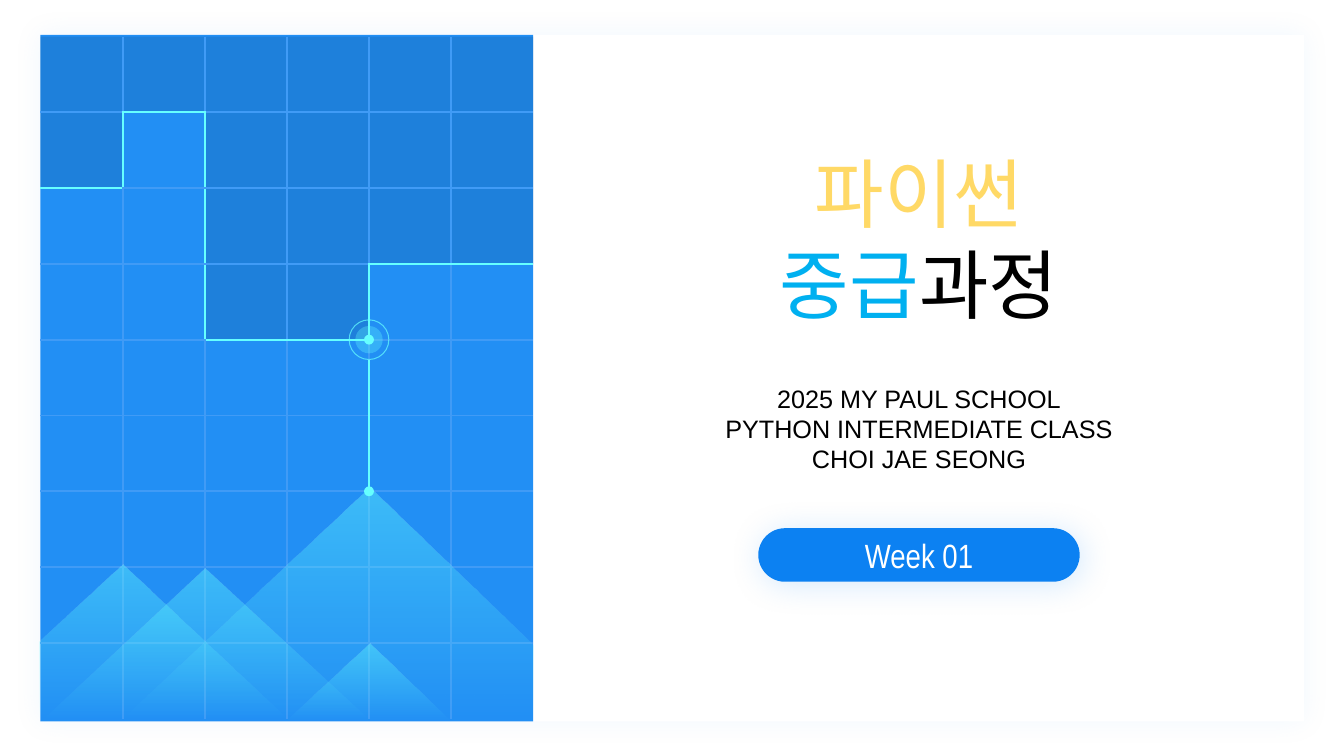
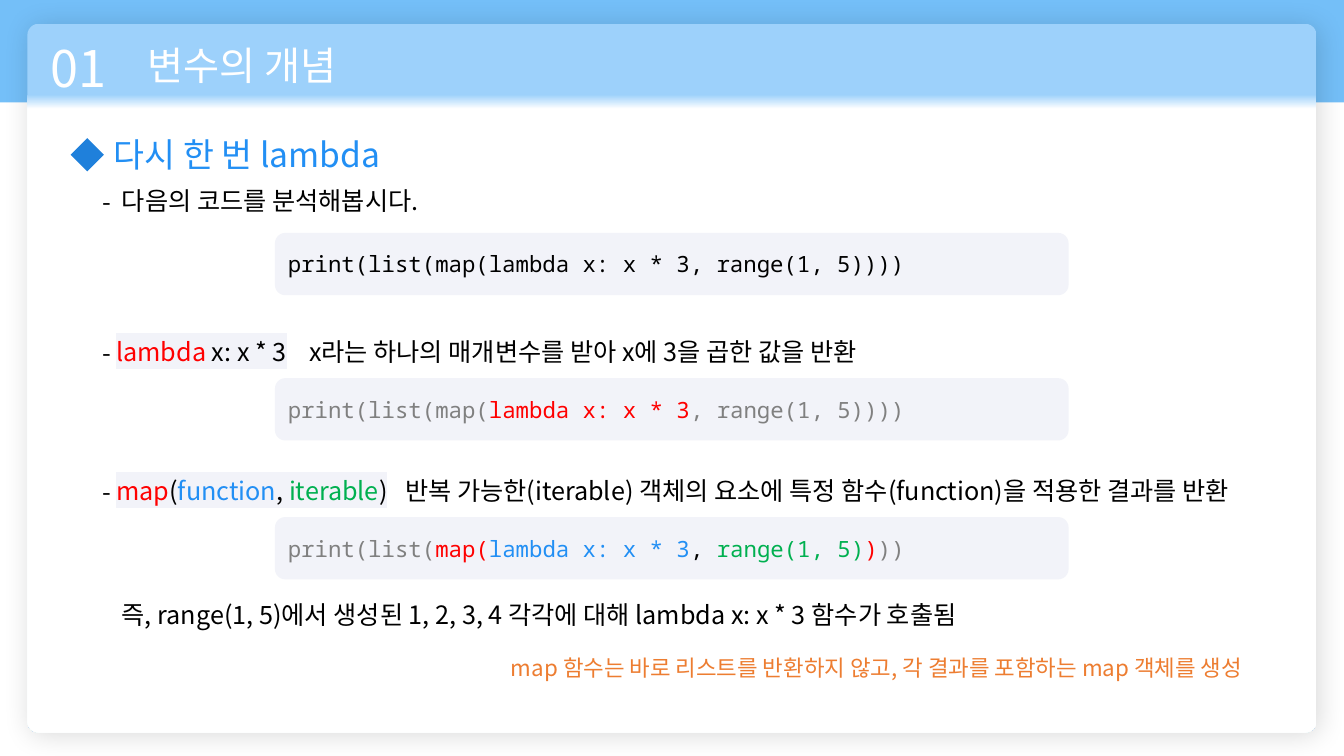
from dataclasses import dataclass
from typing import Optional

from pptx import Presentation
from pptx.dml.color import RGBColor
from pptx.enum.shapes import MSO_CONNECTOR, MSO_SHAPE
from pptx.enum.text import MSO_ANCHOR, MSO_AUTO_SIZE, PP_ALIGN
from pptx.oxml.ns import qn
from pptx.util import Cm, Pt
from lxml.etree import SubElement, Element

WHITE = RGBColor(0xFF, 0xFF, 0xFF)
BLACK = RGBColor(0x00, 0x00, 0x00)
GRAY = RGBColor(0x80, 0x80, 0x80)
RED = RGBColor(0xFF, 0x00, 0x00)
GREEN = RGBColor(0x00, 0xB0, 0x50)
ORANGE = RGBColor(0xED, 0x7D, 0x31)
YELLOW = RGBColor(0xFF, 0xD9, 0x66)
SKY = RGBColor(0x00, 0xB0, 0xF0)
BLUE = RGBColor(0x22, 0x8F, 0xF4)
DEEP_BLUE = RGBColor(0x1F, 0x80, 0xDB)
PILL_BLUE = RGBColor(0x0C, 0x81, 0xF2)
GRID_BLUE = RGBColor(0x40, 0x9B, 0xF6)
BAND_BLUE = RGBColor(0x74, 0xBF, 0xF8)
CARD_BLUE = RGBColor(0x9D, 0xD1, 0xFB)
CYAN = RGBColor(0x66, 0xFF, 0xFF)
CODE_BACK = RGBColor(0xF2, 0xF3, 0xF9)

KOREAN, CODE, LATIN, NARROW = "Noto Sans CJK KR", "Noto Sans Mono", "Arial", "Arial Narrow"

PAGE_WIDTH, PAGE_HEIGHT = 33.87, 19.05
GRID_LEFT, GRID_TOP = 1.02, 0.92
COLUMN, ROW = 2.07, 1.91
ROW_COUNT = 9
SHADED_ROWS = (2, 1, 4, 4, 3, 3)
PEAKS = (
    ((1, 18.11), (1, 16.16), (3.1, 14.22), (7.29, 18.16)),
    ((3.05, 18.16), (9.32, 12.29), (13.44, 16.26), (13.44, 18.14)),
    ((1.02, 18.19), (5.16, 14.33), (9.35, 18.19)),
    ((7.21, 18.16), (9.32, 16.21), (11.38, 18.19)),
)


@dataclass(frozen=True)
class Place:
    left: float
    top: float
    width: float
    height: float

    def lengths(self) -> tuple:
        return Cm(self.left), Cm(self.top), Cm(self.width), Cm(self.height)


@dataclass(frozen=True)
class Span:
    text: str
    color: RGBColor = BLACK
    highlight: Optional[RGBColor] = None


@dataclass(frozen=True)
class Line:
    spans: tuple
    dash: bool = False
    margin: float = 0
    tab: float = 0


@dataclass(frozen=True)
class Shadow:
    color: RGBColor
    alpha: int
    blur: float
    distance: float = 0
    angle: int = 0


@dataclass(frozen=True)
class Stop:
    position: float
    color: RGBColor
    alpha: int = 100


@dataclass(frozen=True)
class CodeBox:
    top: float
    spans: tuple


def add_color(parent, color: RGBColor, alpha: int = 100) -> None:
    node = SubElement(parent, qn("a:srgbClr"), val=str(color))
    set_alpha(node, alpha)


def set_alpha(node, percent: int) -> None:
    if percent < 100:
        SubElement(node, qn("a:alpha"), val=str(percent * 1000))


def format_list_line(paragraph, line: Line) -> None:
    """Add margin, bullet and tab stop; spacing must already be set."""
    properties = paragraph._p.get_or_add_pPr()
    properties.set("marL", str(Cm(line.margin)))
    properties.set("indent", str(Cm(-line.margin if line.dash else 0)))
    if line.dash:
        add_color(SubElement(properties, qn("a:buClr")), BLACK)
        SubElement(properties, qn("a:buFont"), typeface=KOREAN)
        SubElement(properties, qn("a:buChar"), char="-")
    else:
        SubElement(properties, qn("a:buNone"))
    if line.tab:
        stops = SubElement(properties, qn("a:tabLst"))
        SubElement(stops, qn("a:tab"), pos=str(Cm(line.tab)), algn="l")


def write(shape, *lines: Line, size: float, font: str = KOREAN, align=PP_ALIGN.LEFT,
          anchor=MSO_ANCHOR.TOP) -> None:
    frame = shape.text_frame
    frame.word_wrap = True
    frame.auto_size = MSO_AUTO_SIZE.NONE
    frame.vertical_anchor = anchor
    for index, line in enumerate(lines):
        paragraph = frame.add_paragraph() if index else frame.paragraphs[0]
        paragraph.alignment = align
        paragraph.line_spacing = 1.0
        paragraph.space_before = paragraph.space_after = Pt(0)
        format_list_line(paragraph, line)
        for span in line.spans:
            run = paragraph.add_run()
            run.text = span.text
            run.font.size = Pt(size)
            run.font.color.rgb = span.color
            properties = run.font._element
            if span.highlight is not None:
                add_color(SubElement(properties, qn("a:highlight")), span.highlight)
            run.font.name = font
            SubElement(properties, qn("a:ea"), typeface=font)


def plain(text: str, color: RGBColor = BLACK) -> Line:
    return Line((Span(text, color),))


def add_text(page, place: Place, line: Line, **text_format) -> None:
    write(page.shapes.add_textbox(*place.lengths()), line, **text_format)


def use_placeholder(page, index: int, place: Place, *lines: Line, **text_format) -> None:
    """Move a placeholder above what is drawn so far and fill it."""
    holder = page.placeholders[index]
    holder.left, holder.top, holder.width, holder.height = place.lengths()
    holder.element.getparent().append(holder.element)
    write(holder, *lines, **text_format)


def finish(shape, fill: Optional[RGBColor] = None, alpha: int = 100,
           stops: tuple = (), shadow: Optional[Shadow] = None) -> None:
    """Set fill and shadow, and take the outline away."""
    shape.shadow.inherit = False
    shape.line.fill.background()
    properties = shape.element.spPr
    if stops:
        shape.fill.gradient()
        shape.fill.gradient_angle = 270
        for target, stop in zip(shape.fill.gradient_stops, stops):
            target.position = stop.position
            target.color.rgb = stop.color
        for node, stop in zip(list(properties.iter(qn("a:srgbClr"))), stops):
            set_alpha(node, stop.alpha)
    elif fill is not None:
        shape.fill.solid()
        shape.fill.fore_color.rgb = fill
        set_alpha(next(properties.iter(qn("a:srgbClr"))), alpha)
    else:
        shape.fill.background()
    if shadow:
        outer = SubElement(properties.find(qn("a:effectLst")), qn("a:outerShdw"),
                           blurRad=str(Pt(shadow.blur)), dist=str(Pt(shadow.distance)),
                           dir=str(shadow.angle * 60000), algn="ctr", rotWithShape="0")
        add_color(outer, shadow.color, shadow.alpha)


def add_box(page, kind, place: Place, corner: Optional[float] = None, **look):
    box = page.shapes.add_shape(kind, *place.lengths())
    if corner is not None:
        box.adjustments[0] = corner
    finish(box, **look)
    return box


def add_circle(page, x: float, y: float, diameter: float, **look):
    place = Place(x - diameter / 2, y - diameter / 2, diameter, diameter)
    return add_box(page, MSO_SHAPE.OVAL, place, **look)


def is_shaded(row: int, column: int) -> bool:
    return row < SHADED_ROWS[column]


def add_grid(page) -> None:
    """Draw the grid; the bright line runs where shaded meets clear."""
    columns = len(SHADED_ROWS)
    place = Place(GRID_LEFT, GRID_TOP, columns * COLUMN, ROW_COUNT * ROW)
    table = page.shapes.add_table(ROW_COUNT, columns, *place.lengths()).table
    table.first_row = table.horz_banding = False
    for column in table.columns:
        column.width = Cm(COLUMN)
    for row in table.rows:
        row.height = Cm(ROW)
    sides = (("a:lnL", 0, -1), ("a:lnR", 0, 1), ("a:lnT", -1, 0), ("a:lnB", 1, 0))
    for row in range(ROW_COUNT):
        for column in range(columns):
            cell = table.cell(row, column)
            shaded = is_shaded(row, column)
            properties = cell._tc.get_or_add_tcPr()
            if shaded:
                cell.fill.solid()
                cell.fill.fore_color.rgb = BLACK
                set_alpha(next(properties.iter(qn("a:srgbClr"))), 10)
            else:
                cell.fill.background()
            for order, (tag, down, right) in enumerate(sides):
                border = Element(qn(tag), w=str(Pt(1.5)))
                properties.insert(order, border)
                next_row, next_column = row + down, column + right
                if 0 <= next_row < ROW_COUNT and 0 <= next_column < columns:
                    edge = is_shaded(next_row, next_column) != shaded
                    add_color(SubElement(border, qn("a:solidFill")), CYAN if edge else GRID_BLUE)
                else:
                    SubElement(border, qn("a:noFill"))


def add_marker(page) -> None:
    x, y, peak_y = GRID_LEFT + 4 * COLUMN, GRID_TOP + 4 * ROW, GRID_TOP + 6 * ROW
    add_circle(page, x, y, 0.69, fill=CYAN, alpha=30)
    ring = add_circle(page, x, y, 1)
    ring.line.color.rgb = CYAN
    ring.line.width = Pt(0.75)
    set_alpha(next(ring.element.spPr.iter(qn("a:srgbClr"))), 70)
    stem = page.shapes.add_connector(MSO_CONNECTOR.STRAIGHT, Cm(x), Cm(y + 0.5), Cm(x), Cm(peak_y))
    stem.line.color.rgb = CYAN
    stem.line.width = Pt(1.5)
    SubElement(stem.element.spPr, qn("a:effectLst"))
    for dot_y in (y, peak_y):
        add_circle(page, x, dot_y, 0.25, fill=CYAN)


def add_peaks(page) -> None:
    for peak in PEAKS:
        start, *others = [(Cm(x), Cm(y)) for x, y in peak]
        builder = page.shapes.build_freeform(*start)
        builder.add_line_segments(others, close=True)
        finish(builder.convert_to_shape(), stops=(Stop(0, CYAN, 41), Stop(1, CYAN, 0)))


def build_cover(deck) -> None:
    page = deck.slides.add_slide(deck.slide_layouts[0])
    add_box(page, MSO_SHAPE.RECTANGLE, Place(GRID_LEFT, 0.88, 31.85, 17.3), fill=WHITE,
            shadow=Shadow(PILL_BLUE, 5, 20))
    add_box(page, MSO_SHAPE.RECTANGLE, Place(GRID_LEFT, 0.88, 6 * COLUMN, 17.3), fill=BLUE)
    pill = add_box(page, MSO_SHAPE.ROUNDED_RECTANGLE, Place(19.11, 13.31, 8.1, 1.35), corner=0.5,
                   fill=PILL_BLUE, shadow=Shadow(PILL_BLUE, 17, 24, 3, 45))
    write(pill, plain("Week 01", WHITE), size=24, font=NARROW, align=PP_ALIGN.CENTER,
          anchor=MSO_ANCHOR.MIDDLE)
    add_grid(page)
    add_peaks(page)
    add_marker(page)
    use_placeholder(page, 0, Place(14.69, 3.57, 16.94, 4.88), plain("파이썬", YELLOW),
                    Line((Span("중급", SKY), Span("과정"))), size=54, align=PP_ALIGN.CENTER)
    subtitle = ("2025 MY PAUL SCHOOL", "PYTHON INTERMEDIATE CLASS", "CHOI JAE SEONG")
    use_placeholder(page, 1, Place(14.69, 9.53, 16.94, 2.57), *map(plain, subtitle),
                    size=18, font=LATIN, align=PP_ALIGN.CENTER)


def build_lambda_page(deck) -> None:
    page = deck.slides.add_slide(deck.slide_layouts[1])
    add_box(page, MSO_SHAPE.RECTANGLE, Place(0, 0, PAGE_WIDTH, 2.58), fill=BAND_BLUE)
    add_box(page, MSO_SHAPE.ROUNDED_RECTANGLE, Place(0.69, 0.6, 32.49, 17.86), corner=0.016,
            stops=(Stop(0.1, CARD_BLUE), Stop(0.12, WHITE)), shadow=Shadow(BLACK, 14, 20, 3, 45))
    add_text(page, Place(1.02, 0.82, 2.59, 1.8), plain("01", WHITE), size=36)
    use_placeholder(page, 0, Place(3.46, 0.91, 12.45, 1.45), plain("변수의 개념", WHITE), size=28)
    add_box(page, MSO_SHAPE.DIAMOND, Place(1.78, 3.48, 0.84, 0.84), fill=DEEP_BLUE)
    add_text(page, Place(2.62, 3.25, 8.38, 1.27), plain("다시 한 번 lambda", BLUE), size=24)
    code_boxes = (
        CodeBox(5.87, (Span("print(list(map(lambda x: x * 3, range(1, 5))))"),)),
        CodeBox(9.53, (Span("print(list(map(", GRAY), Span("lambda x: x * 3", RED),
                       Span(", range(1, 5))))", GRAY))),
        CodeBox(13.03, (Span("print(list(", GRAY), Span("map(", RED), Span("lambda x: x * 3", BLUE),
                        Span(", "), Span("range(1, 5)", GREEN), Span(")", RED), Span("))", GRAY))),
    )
    for code in code_boxes:
        box = add_box(page, MSO_SHAPE.ROUNDED_RECTANGLE, Place(6.93, code.top, 20, 1.57), fill=CODE_BACK)
        write(box, Line(code.spans), size=16, font=CODE, anchor=MSO_ANCHOR.MIDDLE)
    use_placeholder(page, 1, Place(2.34, 4.55, 20.5, 1.02),
                    Line((Span("다음의 코드를 분석해봅시다."),), dash=True, margin=0.48), size=18)
    lambda_note = Line(
        (Span("lambda", RED, CODE_BACK), Span(" x: x * 3", BLACK, CODE_BACK),
         Span("\tx라는 하나의 매개변수를 받아 x에 3을 곱한 값을 반환")),
        dash=True, margin=0.34, tab=5.2)
    map_note = Line(
        (Span("map", RED, CODE_BACK), Span("(", BLACK, CODE_BACK), Span("function", BLUE, CODE_BACK),
         Span(", ", BLACK, CODE_BACK), Span("iterable", GREEN, CODE_BACK), Span(")", BLACK, CODE_BACK),
         Span("\t반복 가능한(iterable) 객체의 요소에 특정 함수(function)을 적용한 결과를 반환")),
        dash=True, margin=0.34, tab=7.62)
    add_text(page, Place(2.34, 8.36, 24.82, 1.02), lambda_note, size=18)
    add_text(page, Place(2.34, 11.86, 29.11, 1.8), map_note, size=18)
    add_text(page, Place(2.82, 14.99, 29.11, 1.02),
             plain("즉, range(1, 5)에서 생성된 1, 2, 3, 4 각각에 대해 lambda x: x * 3 함수가 호출됨"), size=18)
    add_text(page, Place(2.62, 16.36, 28.93, 0.94),
             plain("map 함수는 바로 리스트를 반환하지 않고, 각 결과를 포함하는 map 객체를 생성", ORANGE),
             size=16, align=PP_ALIGN.RIGHT)


def main() -> None:
    deck = Presentation()
    deck.slide_width, deck.slide_height = Cm(PAGE_WIDTH), Cm(PAGE_HEIGHT)
    build_cover(deck)
    build_lambda_page(deck)
    deck.save("out.pptx")


if __name__ == "__main__":
    main()
